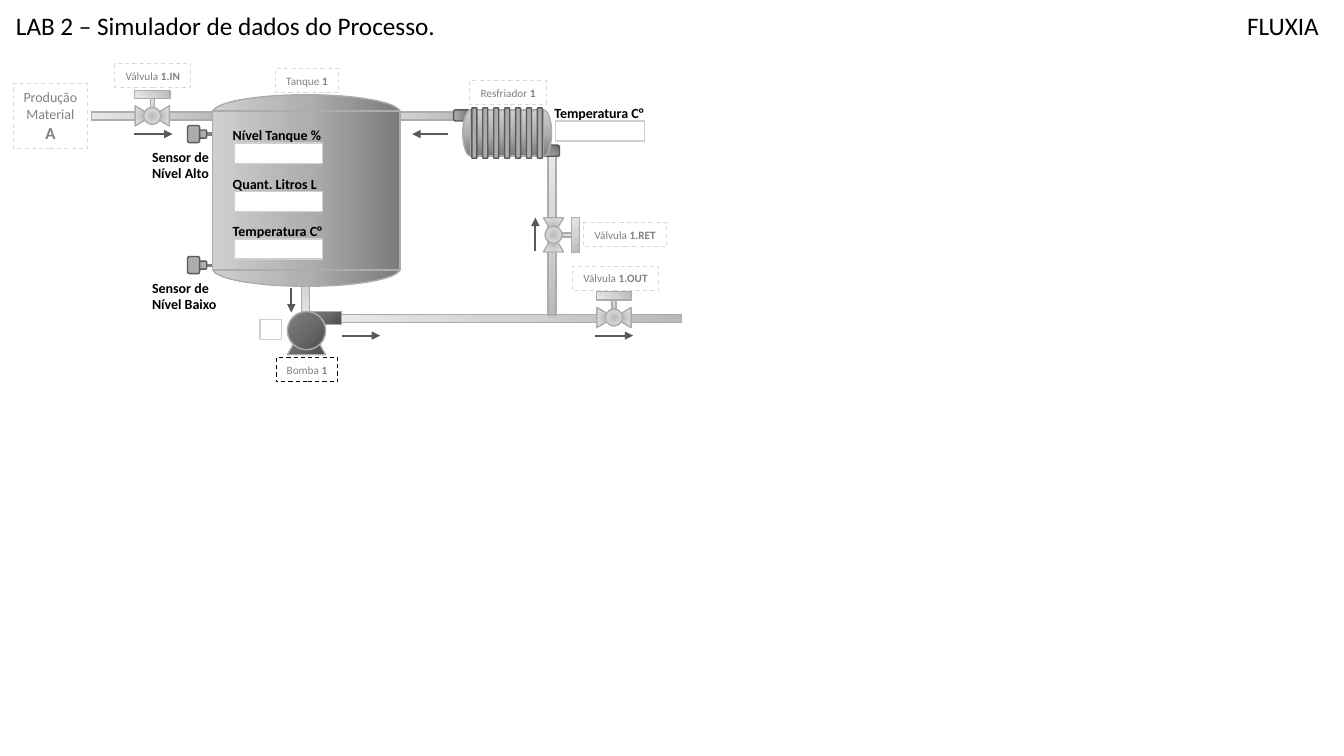
from pptx import Presentation
from pptx.dml.color import RGBColor
from pptx.enum.dml import MSO_LINE
from pptx.enum.shapes import MSO_CONNECTOR, MSO_SHAPE as Shape
from pptx.enum.text import MSO_AUTO_SIZE as AutoSize, PP_ALIGN as Align
from pptx.oxml import parse_xml
from pptx.oxml.ns import nsdecls, qn
from pptx.util import Inches, Pt

BLACK = RGBColor(0x00, 0x00, 0x00)
WHITE = RGBColor(0xFF, 0xFF, 0xFF)
DARK = RGBColor(0x59, 0x59, 0x59)
GREY = RGBColor(0x80, 0x80, 0x80)
STEEL = RGBColor(0xAF, 0xAB, 0xAB)
FIELD_EDGE = RGBColor(0xD0, 0xCE, 0xCE)
LABEL_EDGE = RGBColor(0xD9, 0xD9, 0xD9)

# Gradient stops at 0, 50 and 100 %
PIPE = ("B8B8B8", "D3D3D3", "E9E9E9")
TANK = ("7C7A7A", "B0AEAE", "D1CECE")
PUMP = ("4C4C4C", "6B6B6B", "808080")
NOZZLE = ("686565", "939090", "AFABAB")

LINEAR_135 = '<a:lin ang="8100000" scaled="1"/>'
LINEAR_180 = '<a:lin ang="10800000" scaled="0"/>'
LINEAR_0 = '<a:lin ang="0" scaled="1"/>'
FROM_CENTRE = ('<a:path path="circle">'
               '<a:fillToRect l="50000" t="50000" r="50000" b="50000"/></a:path>')
FROM_CORNER = '<a:path path="circle"><a:fillToRect l="100000" t="100000"/></a:path>'

LABEL_FONT = {"name": "Calibri", "size": Pt(8)}
CAPTION_FONT = {"name": "Calibri", "size": Pt(10), "bold": True}
TITLE_FONT = {"name": "Calibri", "size": Pt(18)}


def fill_gradient(part, stops, direction):
    part.fill.background()
    stop_list = "".join(
        f'<a:gs pos="{i * 50000}"><a:srgbClr val="{color}"/></a:gs>'
        for i, color in enumerate(stops))
    gradient = parse_xml(f'<a:gradFill {nsdecls("a")} rotWithShape="1">'
                         f'<a:gsLst>{stop_list}</a:gsLst>{direction}</a:gradFill>')
    properties = part._element.spPr
    properties.replace(properties.find(qn("a:noFill")), gradient)


def add_part(shapes, kind, box, fill=None, edge=STEEL, rotation=0, width=1):
    """Fill is a colour, a (stops, direction) pair, or None."""
    part = shapes.add_shape(kind, *map(Inches, box))
    part.shadow.inherit = False
    part.rotation = rotation
    part.line.color.rgb = edge
    part.line.width = Pt(width)
    if fill is None:
        part.fill.background()
    elif isinstance(fill, RGBColor):
        part.fill.solid()
        part.fill.fore_color.rgb = fill
    else:
        fill_gradient(part, *fill)
    return part


def add_line(shapes, start, end, color, width, arrow=False):
    line = shapes.add_connector(MSO_CONNECTOR.STRAIGHT, *map(Inches, start + end))
    line.line.color.rgb = color
    line.line.width = Pt(width)
    if arrow:
        line.line._get_or_add_ln().append(
            parse_xml(f'<a:tailEnd {nsdecls("a")} type="triangle"/>'))
    line._element.spPr.append(parse_xml(f'<a:effectLst {nsdecls("a")}/>'))


def write(holder, paragraphs, font, color, align):
    """Each paragraph is a list of (text, format changes) runs."""
    frame = holder.text_frame
    frame.word_wrap = False
    frame.auto_size = AutoSize.SHAPE_TO_FIT_TEXT
    for i, runs in enumerate(paragraphs):
        paragraph = frame.add_paragraph() if i else frame.paragraphs[0]
        paragraph.alignment = align
        for text, changes in runs:
            run = paragraph.add_run()
            run.text = text
            run.font.color.rgb = color
            for key, value in {**font, **changes}.items():
                setattr(run.font, key, value)


def add_label(shapes, box, paragraphs, edge=LABEL_EDGE):
    label = add_part(shapes, Shape.RECTANGLE, box, edge=edge, width=0.75)
    label.line.dash_style = MSO_LINE.DASH
    write(label, paragraphs, LABEL_FONT, GREY, Align.CENTER)


def add_caption(shapes, box, lines, font=CAPTION_FONT):
    caption = shapes.add_textbox(*map(Inches, box))
    write(caption, [[(line, {})] for line in lines], font, BLACK, Align.LEFT)


def add_field(shapes, box):
    add_part(shapes, Shape.RECTANGLE, box, WHITE, FIELD_EDGE)


def add_reading(shapes, left, top, width, name):
    add_caption(shapes, (left, top, width, 0.27), [name])
    add_field(shapes, (left + 0.11, top + 0.21, 0.88, 0.2))


def add_sensor(slide, y):
    sensor = slide.shapes.add_group_shape().shapes
    add_line(sensor, (2.17, y), (1.97, y), GREY, 2.25)
    for box in ((1.87, y - 0.04, 0.18, 0.08), (1.86, y - 0.085, 0.12, 0.17)):
        add_part(sensor, Shape.ROUNDED_RECTANGLE, box, STEEL, DARK, 180)


def add_valve(slide, x, y, turned=False):
    """Valve centred on (x, y); turned lays it along a vertical pipe."""
    valve = slide.shapes.add_group_shape().shapes
    flat, round_ = (PIPE, LINEAR_135), (PIPE, FROM_CENTRE)
    for kind, dx, dy, width, height, rotation, fill in (
            (Shape.RECTANGLE, 0, -0.085, 0.19, 0.04, 90, flat),
            (Shape.ISOSCELES_TRIANGLE, -0.085, 0, 0.2, 0.17, 90, round_),
            (Shape.ISOSCELES_TRIANGLE, 0.085, 0, 0.2, 0.17, 270, round_),
            (Shape.OVAL, 0, 0, 0.17, 0.17, 0, round_),
            (Shape.RECTANGLE, 0, -0.215, 0.35, 0.08, 0, flat)):
        if turned:
            dx, dy, rotation = -dy, dx, (rotation + 90) % 360
        box = (x + dx - width / 2, y + dy - height / 2, width, height)
        add_part(valve, kind, box, fill, rotation=rotation)


def add_tank(slide):
    tank = slide.shapes.add_group_shape().shapes
    for kind, top, height in ((Shape.OVAL, 0.94, 0.35), (Shape.OVAL, 2.49, 0.35),
                              (Shape.RECTANGLE, 1.1, 1.58)):
        add_part(tank, kind, (2.11, top, 1.86, height), (TANK, LINEAR_180))


def add_pump(slide):
    pump = slide.shapes.add_group_shape().shapes
    for kind, box in ((Shape.RECTANGLE, (3.04, 3.09, 0.35, 0.13)),
                      (Shape.ISOSCELES_TRIANGLE, (2.85, 3.19, 0.38, 0.33)),
                      (Shape.OVAL, (2.85, 3.09, 0.38, 0.38))):
        add_part(pump, kind, box, (PUMP, FROM_CORNER))


def add_cooler(slide):
    cooler = slide.shapes.add_group_shape().shapes
    for left, top, direction in ((4.5, 1.09, LINEAR_180), (5.39, 1.44, LINEAR_135)):
        add_part(cooler, Shape.ROUNDED_RECTANGLE, (left, top, 0.16, 0.11),
                 (NOZZLE, direction), DARK)
    for kind, box in ((Shape.OVAL, (5.16, 1.24, 0.46, 0.16)),
                      (Shape.OVAL, (4.44, 1.24, 0.46, 0.16)),
                      (Shape.RECTANGLE, (4.8, 0.96, 0.46, 0.72))):
        add_part(cooler, kind, box, (TANK, LINEAR_180), rotation=90)
    for i in range(7):
        add_part(cooler, Shape.ROUNDED_RECTANGLE,
                 (4.68 + i * 0.65 / 6, 1.07, 0.05, 0.5), STEEL, DARK)


def main():
    deck = Presentation()
    deck.slide_width, deck.slide_height = Inches(13.33), Inches(7.5)
    slide = deck.slides.add_slide(deck.slide_layouts[6])
    shapes = slide.shapes

    # Sensors and pipes
    for y in (2.63, 1.33):
        add_sensor(slide, y)
    for left, top, length, rotation, direction in (
            (3.35, 1.11, 1.21, 0, LINEAR_135), (2.69, 2.81, 0.68, 90, LINEAR_0),
            (0.91, 1.11, 1.21, 0, LINEAR_135), (3.3, 3.12, 3.46, 0, LINEAR_135),
            (4.67, 2.28, 1.61, 90, LINEAR_135)):
        add_part(shapes, Shape.RECTANGLE, (left, top, length, 0.08),
                 (PIPE, direction), rotation=rotation)

    # Equipment
    add_tank(slide)
    add_valve(slide, 1.51, 1.15)
    add_valve(slide, 6.09, 3.15)
    add_pump(slide)
    add_valve(slide, 5.49, 2.33, turned=True)
    add_cooler(slide)

    # Flow arrows
    for start, end in (((1.33, 1.33), (1.71, 1.33)), ((3.39, 3.33), (3.77, 3.33)),
                       ((5.9, 3.33), (6.28, 3.33)), ((2.89, 2.86), (2.89, 3.1)),
                       ((5.31, 2.49), (5.31, 2.16)), ((4.44, 1.33), (4.09, 1.33))):
        add_line(shapes, start, end, DARK, 1.5, arrow=True)

    # Equipment labels
    add_label(shapes, (0.13, 0.83, 0.74, 0.64),
              [[("Produção", {"size": Pt(10)})], [("Material", {"size": Pt(10)})],
               [("A", {"size": Pt(12), "bold": True})]])
    for left, top, width, name, number, edge in (
            (2.73, 0.68, 0.63, "Tanque ", "1", LABEL_EDGE),
            (4.66, 0.8, 0.76, "Resfriador ", "1", LABEL_EDGE),
            (2.74, 3.55, 0.61, "Bomba ", "1", BLACK),
            (1.14, 0.63, 0.75, "Válvula ", "1.IN", LABEL_EDGE),
            (5.79, 2.21, 0.82, "Válvula ", "1.RET", LABEL_EDGE),
            (5.68, 2.64, 0.85, "Válvula ", "1.OUT", LABEL_EDGE)):
        add_label(shapes, (left, top, width, 0.24),
                  [[(name, {}), (number, {"bold": True})]], edge)

    # Sensor captions and readings
    add_caption(shapes, (1.41, 1.42, 0.78, 0.44), ["Sensor de", "Nível Alto"])
    add_caption(shapes, (1.41, 2.72, 0.86, 0.44), ["Sensor de", "Nível Baixo"])
    cooler_reading = shapes.add_group_shape().shapes
    add_reading(cooler_reading, 5.4, 0.99, 1.11, "Temperatura C°")
    tank_readings = shapes.add_group_shape().shapes
    for top, width, name in ((1.21, 1.12, "Nível Tanque %"),
                             (1.69, 1.05, "Quant. Litros L"),
                             (2.16, 1.11, "Temperatura C°")):
        add_reading(tank_readings, 2.21, top, width, name)

    # Titles and pump status
    add_caption(shapes, (0.06, 0.05, 4.41, 0.4),
                ["LAB 2 – Simulador de dados do Processo."], TITLE_FONT)
    add_caption(shapes, (12.27, 0.05, 1, 0.4), ["FLUXIA"], TITLE_FONT)
    add_field(shapes, (2.58, 3.17, 0.21, 0.2))

    deck.save("out.pptx")


if __name__ == "__main__":
    main()
